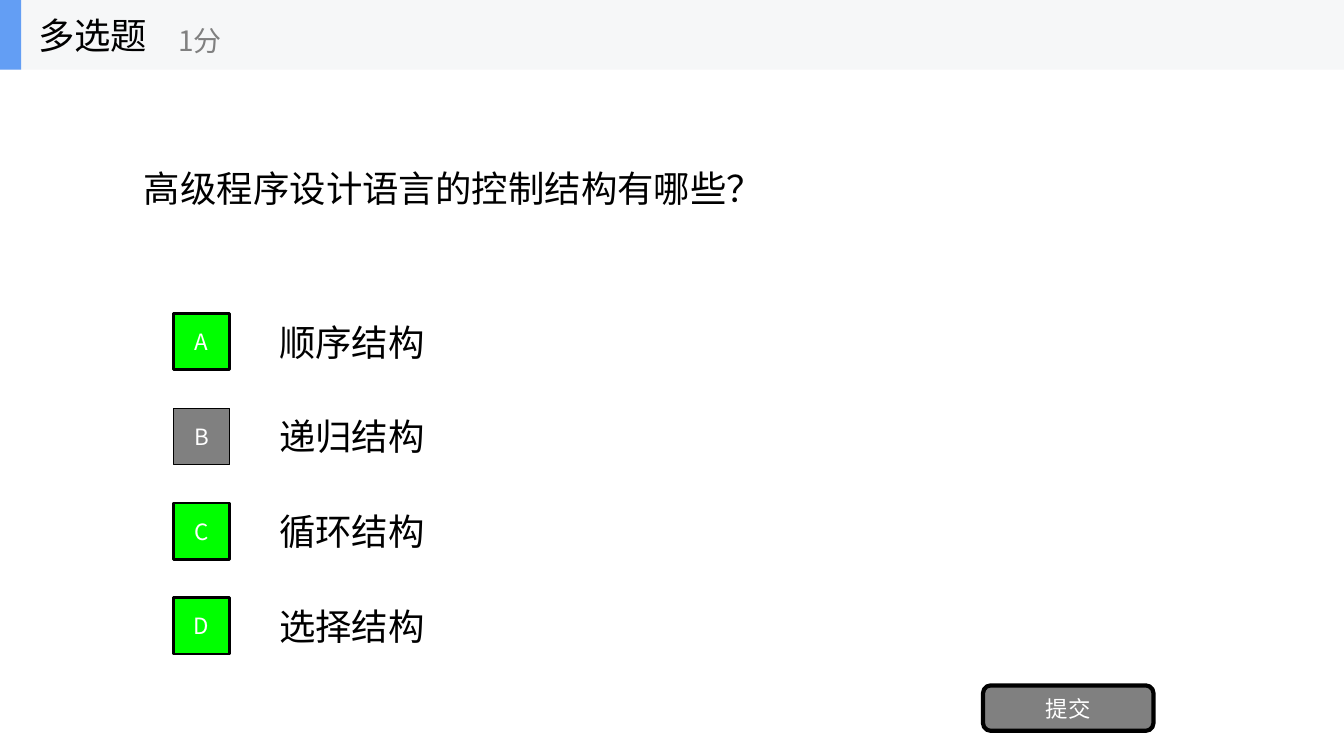
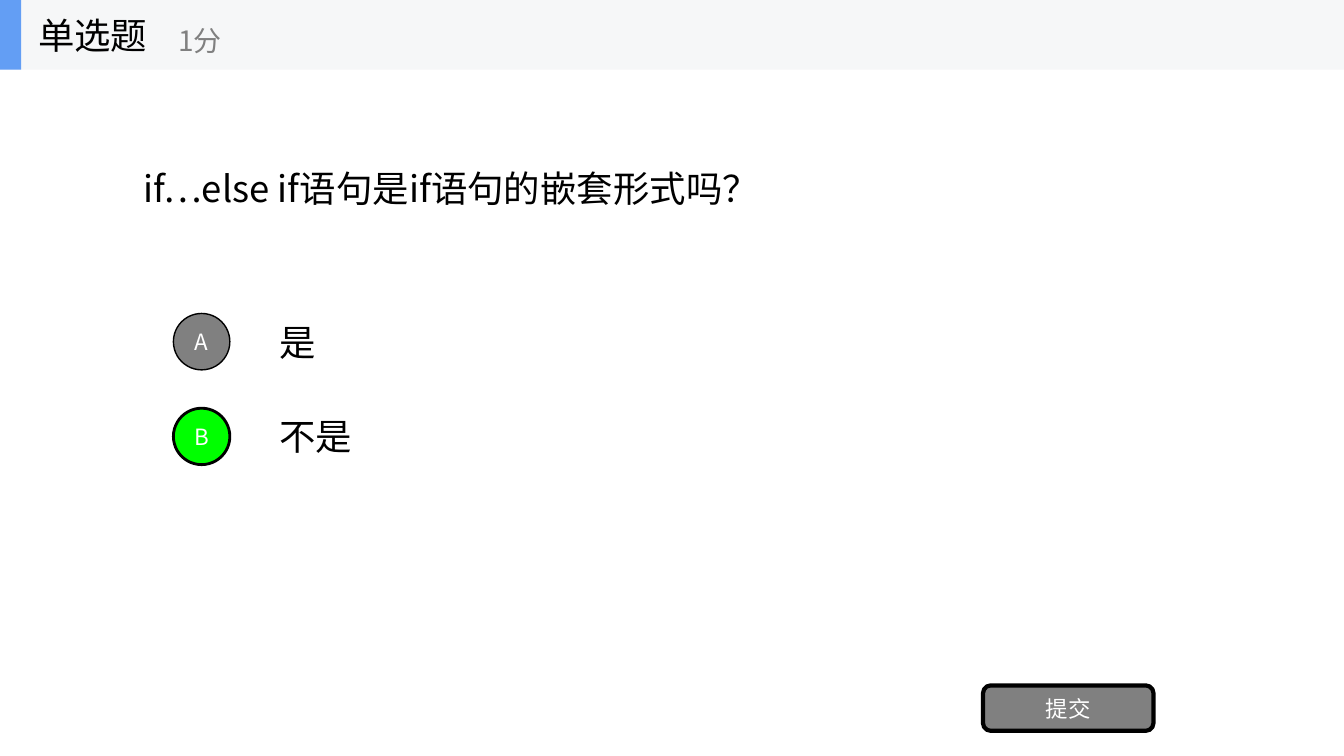
from lxml import etree
from pptx import Presentation
from pptx.dml.color import RGBColor
from pptx.enum.shapes import MSO_SHAPE
from pptx.enum.text import MSO_ANCHOR, PP_ALIGN
from pptx.oxml.ns import qn
from pptx.util import Inches, Pt

RECTANGLE = MSO_SHAPE.RECTANGLE
ROUNDED = MSO_SHAPE.ROUNDED_RECTANGLE
OVAL = MSO_SHAPE.OVAL
MIDDLE = MSO_ANCHOR.MIDDLE
LEFT, CENTER = PP_ALIGN.LEFT, PP_ALIGN.CENTER

FONT = "Noto Sans CJK SC"
BLACK, WHITE, GRAY = "000000", "FFFFFF", "808080"
GREEN, BLUE, BAND = "00FF00", "639EF4", "F6F7F8"
TEXT_SIZE, SCORE_SIZE, LABEL_SIZE = 26, 20, 16

SLIDE_WIDTH, SLIDE_HEIGHT = 13.33, 7.5
BAND_HEIGHT = 0.69
OPTION_TOP, OPTION_PITCH, OPTION_HEIGHT = 3.04, 0.94, 0.7
BADGE_SIZE = 0.56

QUESTIONS = [
    ("多选题", "高级程序设计语言的控制结构有哪些？", RECTANGLE,
     [("顺序结构", True), ("递归结构", False), ("循环结构", True), ("选择结构", True)]),
    ("单选题", "if…else if语句是if语句的嵌套形式吗？", OVAL,
     [("是", False), ("不是", True)]),
]


def color(value):
    return RGBColor.from_string(value)


class QuizDeck:
    """Holds the quiz style and the slide being built."""

    def __init__(self):
        self.presentation = Presentation()
        self.presentation.slide_width = Inches(SLIDE_WIDTH)
        self.presentation.slide_height = Inches(SLIDE_HEIGHT)
        self.slide = None

    def new_slide(self):
        self.slide = self.presentation.slides.add_slide(self.presentation.slide_layouts[6])

    def fill_text(self, shape, text, size, text_color, alignment):
        frame = shape.text_frame
        frame.word_wrap = True
        frame.vertical_anchor = MIDDLE
        paragraph = frame.paragraphs[0]
        paragraph.alignment = alignment
        run = paragraph.add_run()
        run.text = text
        run.font.name = FONT
        run.font.size = Pt(size)
        run.font.color.rgb = color(text_color)
        properties = run._r.get_or_add_rPr()
        etree.SubElement(properties, qn("a:ea"), typeface=FONT)

    def text(self, text, left, top, width, height, size=TEXT_SIZE, text_color=BLACK):
        box = self.slide.shapes.add_textbox(
            Inches(left), Inches(top), Inches(width), Inches(height))
        self.fill_text(box, text, size, text_color, LEFT)

    def shape(self, kind, left, top, width, height, fill, line_width=0, label=""):
        shape = self.slide.shapes.add_shape(
            kind, Inches(left), Inches(top), Inches(width), Inches(height))
        shape.shadow.inherit = False
        shape.fill.solid()
        shape.fill.fore_color.rgb = color(fill)
        if line_width:
            shape.line.color.rgb = color(BLACK)
            shape.line.width = Pt(line_width)
        else:
            shape.line.fill.background()
        if label:
            self.fill_text(shape, label, LABEL_SIZE, WHITE, CENTER)

    def header(self, title):
        self.shape(RECTANGLE, 0, 0, SLIDE_WIDTH, BAND_HEIGHT, BAND)
        self.shape(RECTANGLE, 0, 0, 0.21, BAND_HEIGHT, BLUE)
        self.text(title, 0.28, 0, 2.08, BAND_HEIGHT)
        self.text("1分", 1.67, 0.12, 2.5, 0.56, SCORE_SIZE, GRAY)

    def option(self, index, text, is_correct, badge_kind):
        top = OPTION_TOP + index * OPTION_PITCH
        self.text(text, 2.67, top, 9.33, OPTION_HEIGHT)
        fill, line_width = (GREEN, 2) if is_correct else (GRAY, 1)
        badge_top = top + (OPTION_HEIGHT - BADGE_SIZE) / 2
        self.shape(badge_kind, 1.72, badge_top, BADGE_SIZE, BADGE_SIZE,
                   fill, line_width, "ABCD"[index])

    def submit_button(self):
        self.shape(ROUNDED, 9.75, 6.8, 1.69, 0.45, GRAY, 3, "提交")

    def question(self, title, question, badge_kind, options):
        self.new_slide()
        self.text(question, 1.33, BAND_HEIGHT, 10.67, 2.34)
        for index, (text, is_correct) in enumerate(options):
            self.option(index, text, is_correct, badge_kind)
        self.submit_button()
        self.header(title)


def main():
    deck = QuizDeck()
    for question in QUESTIONS:
        deck.question(*question)
    deck.presentation.save("out.pptx")


if __name__ == "__main__":
    main()
